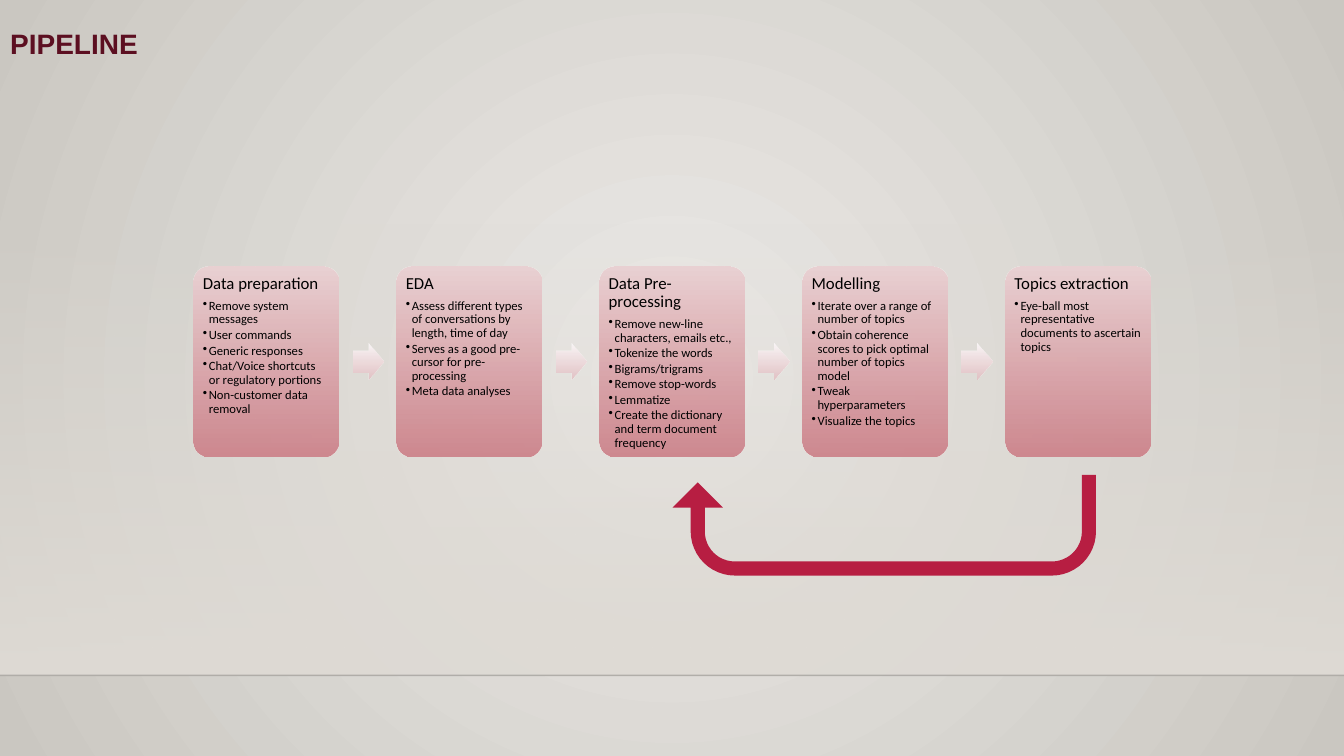
from pptx import Presentation
from pptx.dml.color import RGBColor
from pptx.enum.shapes import MSO_CONNECTOR, MSO_SHAPE
from pptx.enum.text import MSO_ANCHOR, MSO_AUTO_SIZE, PP_ALIGN
from pptx.oxml.ns import qn
from pptx.oxml.xmlchemy import OxmlElement
from pptx.util import Inches, Pt

RECTANGLE = MSO_SHAPE.RECTANGLE
ROUNDED = MSO_SHAPE.ROUNDED_RECTANGLE
RIGHT_ARROW = MSO_SHAPE.RIGHT_ARROW
U_TURN_ARROW = MSO_SHAPE.U_TURN_ARROW
STRAIGHT = MSO_CONNECTOR.STRAIGHT
TOP = MSO_ANCHOR.TOP
LEFT = PP_ALIGN.LEFT
NO_AUTOFIT = MSO_AUTO_SIZE.NONE

BLACK = RGBColor(0x00, 0x00, 0x00)
TITLE_RED = RGBColor(0x5C, 0x0F, 0x21)
LOOP_RED = RGBColor(0xB7, 0x1E, 0x42)
CARD_LIGHT = RGBColor(0xEA, 0xD1, 0xD3)
CARD_DARK = RGBColor(0xCD, 0x82, 0x8A)
ARROW_LIGHT = RGBColor(0xFA, 0xF5, 0xF6)
ARROW_DARK = RGBColor(0xE2, 0xC1, 0xC4)
WALL_LIGHT = RGBColor(0xEC, 0xEA, 0xE7)
WALL_DARK = RGBColor(0xCA, 0xC7, 0xC1)
FLOOR = RGBColor(0xDF, 0xDB, 0xD5)

SLIDE_WIDTH, SLIDE_HEIGHT = 13.33, 7.5
CARD_WIDTH = 1.44
ARROW_WIDTH, ARROW_HEIGHT = 0.3, 0.36

STAGES = [
    ("Data preparation", [
        "Remove system messages", "User commands", "Generic responses",
        "Chat/Voice shortcuts or regulatory portions",
        "Non-customer data removal"]),
    ("EDA", [
        "Assess different types of conversations by length, time of day",
        "Serves as a good pre-cursor for pre-processing",
        "Meta data analyses"]),
    ("Data Pre-processing", [
        "Remove new-line characters, emails etc.,", "Tokenize the words",
        "Bigrams/trigrams", "Remove stop-words", "Lemmatize",
        "Create the dictionary and term document frequency"]),
    ("Modelling", [
        "Iterate over a range of number of topics",
        "Obtain coherence scores to pick optimal number of topics model",
        "Tweak hyperparameters", "Visualize the topics"]),
    ("Topics extraction", [
        "Eye-ball most representative documents to ascertain topics"]),
]


def set_opacity(color_element, percent):
    alpha = OxmlElement("a:alpha")
    alpha.set("val", str(percent * 1000))
    color_element.append(alpha)


def set_gradient(fill, element, colors, opacities=(100, 100)):
    """Fill from top to bottom; return the gradient element."""
    fill.gradient()
    fill.gradient_angle = 270
    gradient = next(element.iter(qn("a:gradFill")))
    for stop, color in zip(fill.gradient_stops, colors):
        stop.color.rgb = color
    for color_element, percent in zip(gradient.iter(qn("a:srgbClr")), opacities):
        if percent < 100:
            set_opacity(color_element, percent)
    return gradient


def add_plain_shape(slide, kind, left, top, width, height):
    shape = slide.shapes.add_shape(
        kind, Inches(left), Inches(top), Inches(width), Inches(height))
    shape.shadow.inherit = False
    shape.line.fill.background()
    return shape


def add_backdrop(slide, horizon_top, horizon):
    # Radial background
    gradient = set_gradient(slide.background.fill, slide.element,
                            (WALL_LIGHT, WALL_DARK))
    gradient.remove(gradient.find(qn("a:lin")))
    radial = OxmlElement("a:path")
    radial.set("path", "circle")
    center = OxmlElement("a:fillToRect")
    for side in "ltrb":
        center.set(side, "50000")
    radial.append(center)
    gradient.append(radial)

    # Fade down to the horizon
    fade = add_plain_shape(slide, RECTANGLE, 0, horizon_top,
                           SLIDE_WIDTH, horizon - horizon_top)
    set_gradient(fade.fill, fade.element, (FLOOR, FLOOR), (0, 100))

    # Horizon line
    line = slide.shapes.add_connector(
        STRAIGHT, 0, Inches(horizon), Inches(SLIDE_WIDTH), Inches(horizon))
    line.line.width = Pt(1)
    line.line.color.rgb = BLACK
    set_opacity(next(line.element.iter(qn("a:srgbClr"))), 20)
    line.element.spPr.append(OxmlElement("a:effectLst"))


def add_run(paragraph, text, font_name, size, color, bold=False):
    run = paragraph.add_run()
    run.text = text
    run.font.name = font_name
    run.font.size = Pt(size)
    run.font.color.rgb = color
    run.font.bold = bold


def add_title(slide, text, left, top, width, height):
    title = slide.shapes.title
    title.left, title.top = Inches(left), Inches(top)
    title.width, title.height = Inches(width), Inches(height)
    frame = title.text_frame
    frame.auto_size = NO_AUTOFIT
    frame.vertical_anchor = TOP
    paragraph = frame.paragraphs[0]
    paragraph.alignment = LEFT
    paragraph.line_spacing = 0.9
    add_run(paragraph, text, "Arial", 20, TITLE_RED, bold=True)


def add_bullet(paragraph):
    properties = paragraph._p.get_or_add_pPr()
    properties.set("marL", str(Inches(0.06)))
    properties.set("indent", str(Inches(-0.06)))
    bullet = OxmlElement("a:buChar")
    bullet.set("char", "•")
    properties.append(bullet)


def add_card(slide, heading, points, left, top, width, height):
    card = add_plain_shape(slide, ROUNDED, left, top, width, height)
    card.adjustments[0] = 0.1
    set_gradient(card.fill, card.element, (CARD_LIGHT, CARD_DARK), (100, 92))
    frame = card.text_frame
    frame.word_wrap = True
    frame.vertical_anchor = TOP
    frame.margin_left = frame.margin_right = Inches(0.05)
    frame.margin_top = frame.margin_bottom = Inches(0.05)
    for index, text in enumerate([heading] + points):
        paragraph = frame.add_paragraph() if index else frame.paragraphs[0]
        paragraph.alignment = LEFT
        paragraph.line_spacing = 0.9
        paragraph.space_after = Pt(1.35 if index else 4.2)
        if index:
            paragraph.level = 1
            add_bullet(paragraph)
        add_run(paragraph, text, "Calibri", 9 if index else 12, BLACK)


def add_pipeline(slide, left, top, width, height):
    pitch = (width - CARD_WIDTH) / (len(STAGES) - 1)
    for index, (heading, points) in enumerate(STAGES):
        card_left = left + index * pitch
        if index:
            # Arrow from the stage before
            arrow = add_plain_shape(
                slide, RIGHT_ARROW, card_left - 0.43,
                top + (height - ARROW_HEIGHT) / 2, ARROW_WIDTH, ARROW_HEIGHT)
            arrow.adjustments[0] = 0.6
            arrow.adjustments[1] = 0.5
            set_gradient(arrow.fill, arrow.element,
                         (ARROW_LIGHT, ARROW_DARK), (100, 92))
        add_card(slide, heading, points, card_left, top, CARD_WIDTH, height)


def add_feedback_loop(slide, left, top, width, height):
    loop = add_plain_shape(slide, U_TURN_ARROW, left, top, width, height)
    loop.rotation = 180
    for index, value in enumerate((0.14, 0.25, 0.25, 0.438, 0.924)):
        loop.adjustments[index] = value
    loop.fill.solid()
    loop.fill.fore_color.rgb = LOOP_RED


def main():
    presentation = Presentation()
    presentation.slide_width = Inches(SLIDE_WIDTH)
    presentation.slide_height = Inches(SLIDE_HEIGHT)
    title_only = presentation.slide_layouts[5]
    slide = presentation.slides.add_slide(title_only)
    add_backdrop(slide, 2.21, 6.7)
    add_title(slide, "PIPELINE", 0, 0.25, 12.67, 0.84)
    add_pipeline(slide, 1.92, 2.64, 9.49, 1.89)
    add_feedback_loop(slide, 6.67, 4.71, 4.2, 1)
    presentation.save("out.pptx")


if __name__ == "__main__":
    main()
